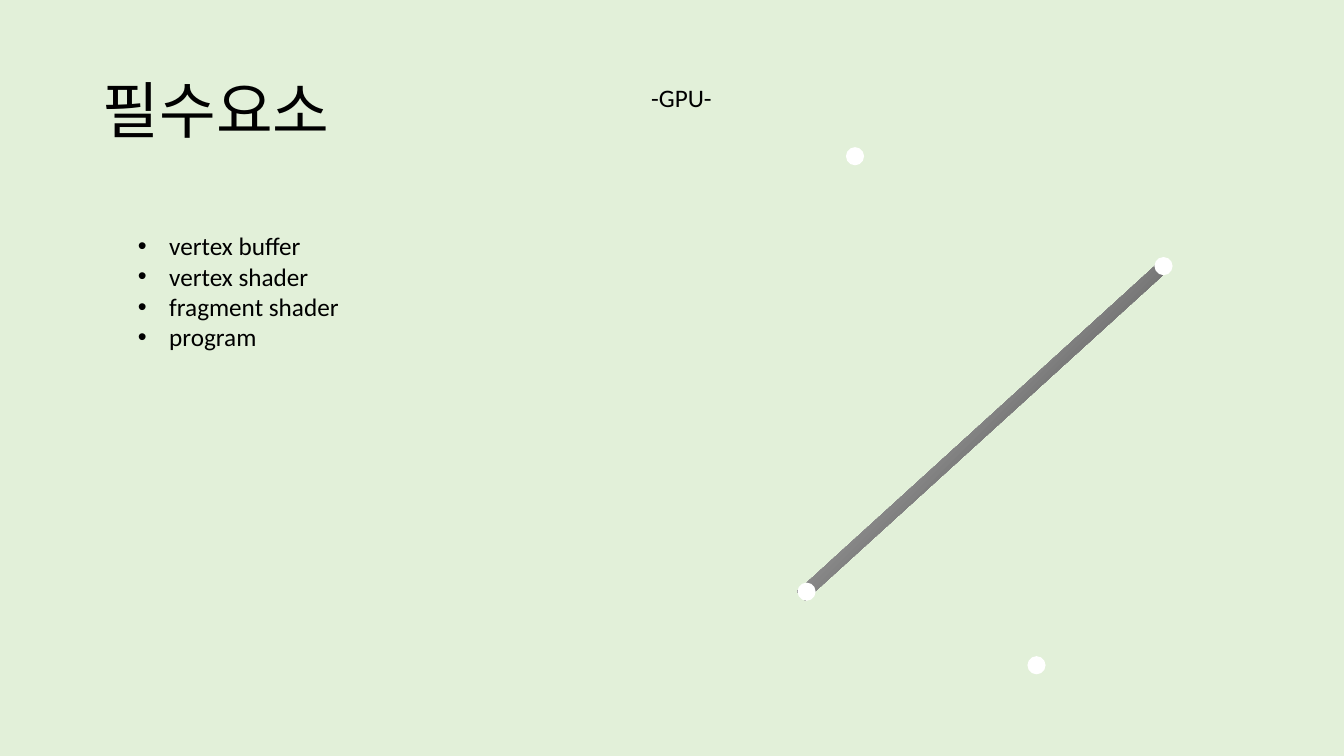
from lxml.etree import SubElement
from pptx import Presentation
from pptx.dml.color import RGBColor as Rgb
from pptx.enum.shapes import MSO_SHAPE as Kind
from pptx.enum.text import MSO_ANCHOR as Anchor
from pptx.oxml import parse_xml
from pptx.oxml.ns import nsdecls, qn
from pptx.util import Inches, Pt

HUES = {"back": "E2F0D9", "text": "000000", "dot": "FFFFFF",
        "dark": "000000", "light": "FFFFFF"}
FONT = "Calibri"
DOT = 0.18
DOTS = [(11.45, 2.55), (7.91, 5.78), (8.39, 1.46), (10.19, 6.51)]
PARTS = ["vertex buffer", "vertex shader", "fragment shader", "program"]


def hue(name):
    return Rgb.from_string(HUES[name])


def add_bullet(para):
    props = para._p.get_or_add_pPr()
    props.set("marL", str(Inches(0.31)))
    props.set("indent", str(Inches(-0.31)))
    SubElement(props, qn("a:buFont")).set("typeface", "Arial")
    SubElement(props, qn("a:buChar")).set("char", "•")


def add_text(slide, box, lines, size=18, wrap=False, bullet=False):
    frame = slide.shapes.add_textbox(*map(Inches, box)).text_frame
    frame.word_wrap = wrap
    frame.text = "\n".join(lines)
    for para in frame.paragraphs:
        if bullet:
            add_bullet(para)
        for run in para.runs:
            run.font.name = FONT
            run.font.size = Pt(size)
            run.font.color.rgb = hue("text")
    return frame


def add_form(slide, kind, box):
    form = slide.shapes.add_shape(kind, *map(Inches, box))
    form.shadow.inherit = False
    form.line.fill.background()
    return form


def add_dot(slide, left, top):
    dot = add_form(slide, Kind.OVAL, (left, top, DOT, DOT))
    dot.fill.solid()
    dot.fill.fore_color.rgb = hue("dot")


def add_bar(slide, box, turn):
    bar = add_form(slide, Kind.RECTANGLE, box)
    bar.rotation = turn
    bar.fill.gradient()
    for stop, name, place in zip(bar.fill.gradient_stops, ("dark", "light"), (0, 1)):
        stop.color.rgb = hue(name)
        stop.position = place
    grad = bar._element.spPr.find(qn("a:gradFill"))
    line = grad.find(qn("a:lin"))
    grad.replace(line, parse_xml(
        f'<a:path {nsdecls("a")} path="circle">'
        '<a:fillToRect l="100000" t="100000"/></a:path>'))


def main():
    deck = Presentation()
    deck.slide_width = Inches(13.33)
    deck.slide_height = Inches(7.5)
    slide = deck.slides.add_slide(deck.slide_layouts[6])
    slide.background.fill.solid()
    slide.background.fill.fore_color.rgb = hue("back")

    add_bar(slide, (9.69, 1.83, 0.12, 4.88), 227.7)
    title = add_text(slide, (0.92, 0.4, 11.5, 1.45), ["필수요소"], 44, wrap=True)
    title.vertical_anchor = Anchor.MIDDLE
    title.paragraphs[0].line_spacing = 0.9
    add_text(slide, (1.27, 2.24, 2.22, 1.31), PARTS, bullet=True)
    for left, top in DOTS:
        add_dot(slide, left, top)
    add_text(slide, (6.36, 0.77, 0.81, 0.4), ["-GPU-"])
    deck.save("out.pptx")


if __name__ == "__main__":
    main()
